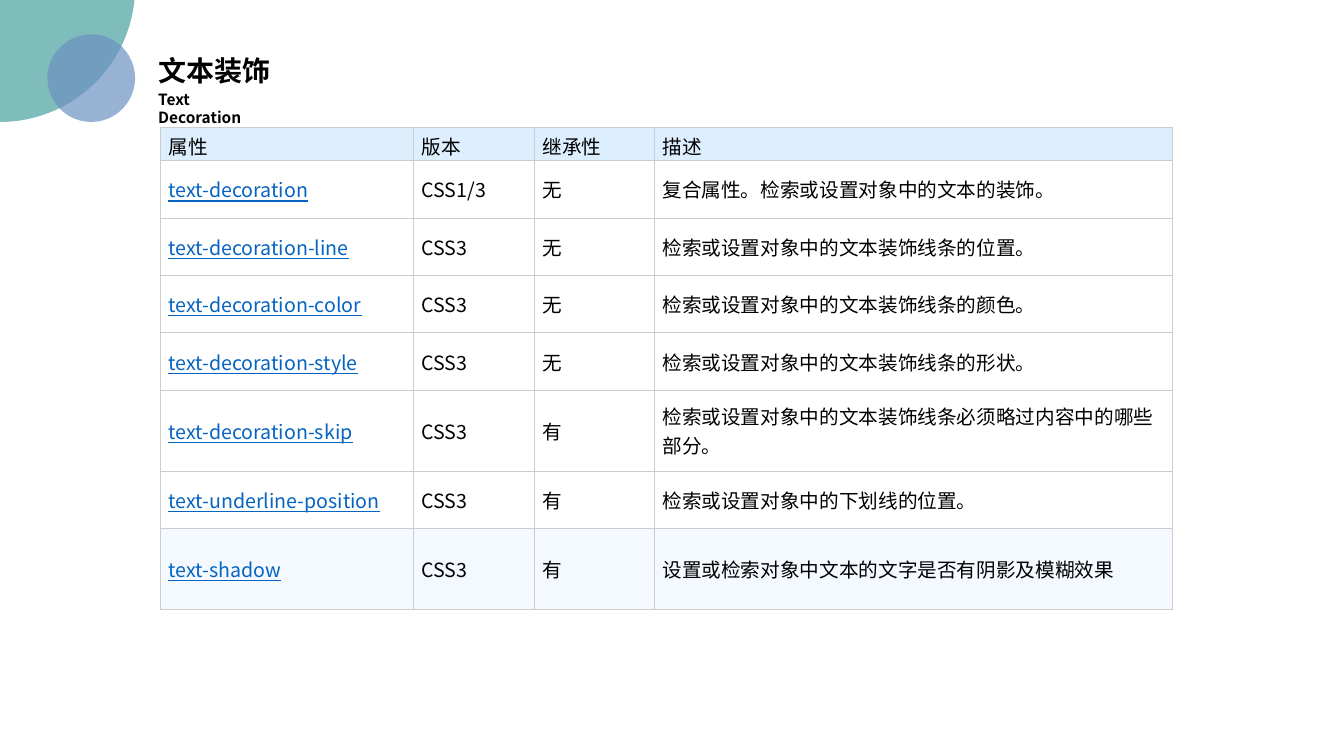
from lxml import etree
from pptx import Presentation
from pptx import util as u
from pptx.dml.color import RGBColor
from pptx.enum import shapes, text
from pptx.oxml.ns import qn

FONT = "Noto Sans CJK SC"
COLORS = {
    "teal": "48A2A0",
    "blue": "6C92C0",
    "ink": "000000",
    "link": "0563C1",
    "border": "CCCCCC",
    "header": "DDEEFF",
    "highlight": "F3F9FF",
}

HEADER = ("属性", "版本", "继承性", "描述")
PROPERTIES = [
    ("text-decoration", "CSS1/3", "无", "复合属性。检索或设置对象中的文本的装饰。"),
    ("text-decoration-line", "CSS3", "无", "检索或设置对象中的文本装饰线条的位置。"),
    ("text-decoration-color", "CSS3", "无", "检索或设置对象中的文本装饰线条的颜色。"),
    ("text-decoration-style", "CSS3", "无", "检索或设置对象中的文本装饰线条的形状。"),
    ("text-decoration-skip", "CSS3", "有", "检索或设置对象中的文本装饰线条必须略过内容中的哪些部分。"),
    ("text-underline-position", "CSS3", "有", "检索或设置对象中的下划线的位置。"),
    ("text-shadow", "CSS3", "有", "设置或检索对象中文本的文字是否有阴影及模糊效果"),
]
COLUMN_WIDTHS = (2.51, 1.2, 1.19, 5.14)
ROW_HEIGHTS = (0.33, 0.57, 0.57, 0.57, 0.57, 0.8, 0.57, 0.8)
CELL_FORMAT = {
    "vertical_anchor": text.MSO_ANCHOR.MIDDLE,
    "margin_left": u.Inches(0.08),
    "margin_right": u.Inches(0.08),
    "margin_top": u.Inches(0.05),
    "margin_bottom": u.Inches(0.05),
}


def rgb(color):
    return RGBColor.from_string(COLORS[color])


def write(frame, content, color="ink", **font_format):
    run = frame.paragraphs[0].add_run()
    run.text = content
    run.font.color.rgb = rgb(color)
    for name, value in {"name": FONT, **font_format}.items():
        setattr(run.font, name, value)
    # East Asian typeface
    etree.SubElement(run.font._element, qn("a:ea"), typeface=FONT)


def add_circle(slide, left, top, diameter, color):
    circle = slide.shapes.add_shape(
        shapes.MSO_SHAPE.OVAL, u.Inches(left), u.Inches(top),
        u.Inches(diameter), u.Inches(diameter))
    circle.shadow.inherit = False
    circle.line.fill.background()
    circle.fill.solid()
    circle.fill.fore_color.rgb = rgb(color)
    # 70% opacity
    tint = circle.fill._xPr.find(qn("a:solidFill"))[0]
    etree.SubElement(tint, qn("a:alpha"), val="70000")


def add_heading(slide, content, left, top, width, height, size):
    heading = slide.shapes.add_textbox(
        u.Inches(left), u.Inches(top), u.Inches(width), u.Inches(height))
    heading.text_frame.word_wrap = True
    write(heading.text_frame, content, size=u.Pt(size), bold=True)


def add_borders(cell):
    properties = cell._tc.get_or_add_tcPr()
    for side in ("lnL", "lnR", "lnT", "lnB"):
        line = etree.SubElement(properties, qn(f"a:{side}"), w=str(u.Pt(0.75)))
        fill = etree.SubElement(line, qn("a:solidFill"))
        etree.SubElement(fill, qn("a:srgbClr"), val=COLORS["border"])


def format_cell(cell, content, fill, is_link):
    for name, value in CELL_FORMAT.items():
        setattr(cell, name, value)
    add_borders(cell)
    if fill:
        cell.fill.solid()
        cell.fill.fore_color.rgb = rgb(fill)
    else:
        cell.fill.background()
    write(cell.text_frame, content, "link" if is_link else "ink",
          size=u.Pt(14), underline=is_link)


def add_property_table(slide, left, top):
    rows = [HEADER, *PROPERTIES]
    table = slide.shapes.add_table(
        len(rows), len(HEADER), u.Inches(left), u.Inches(top),
        u.Inches(sum(COLUMN_WIDTHS)), u.Inches(sum(ROW_HEIGHTS))).table
    table.first_row = table.horz_banding = False
    for column, width in zip(table.columns, COLUMN_WIDTHS):
        column.width = u.Inches(width)
    row_fills = {0: "header", len(rows) - 1: "highlight"}
    for r, contents in enumerate(rows):
        table.rows[r].height = u.Inches(ROW_HEIGHTS[r])
        for c, content in enumerate(contents):
            format_cell(table.cell(r, c), content, row_fills.get(r),
                        is_link=r > 0 and c == 0)


def main():
    deck = Presentation()
    deck.slide_width, deck.slide_height = u.Inches(13.33), u.Inches(7.5)
    slide = deck.slides.add_slide(deck.slide_layouts[6])

    # Corner decoration
    add_circle(slide, -1.34, -1.47, 2.68, "teal")
    add_circle(slide, 0.47, 0.34, 0.87, "blue")

    # Title and subtitle
    add_heading(slide, "文本装饰", 1.47, 0.48, 1.33, 0.77, 20)
    add_heading(slide, "Text Decoration", 1.47, 0.84, 1.32, 0.29, 11)

    # CSS properties
    add_property_table(slide, 1.59, 1.26)

    deck.save("out.pptx")


if __name__ == "__main__":
    main()
